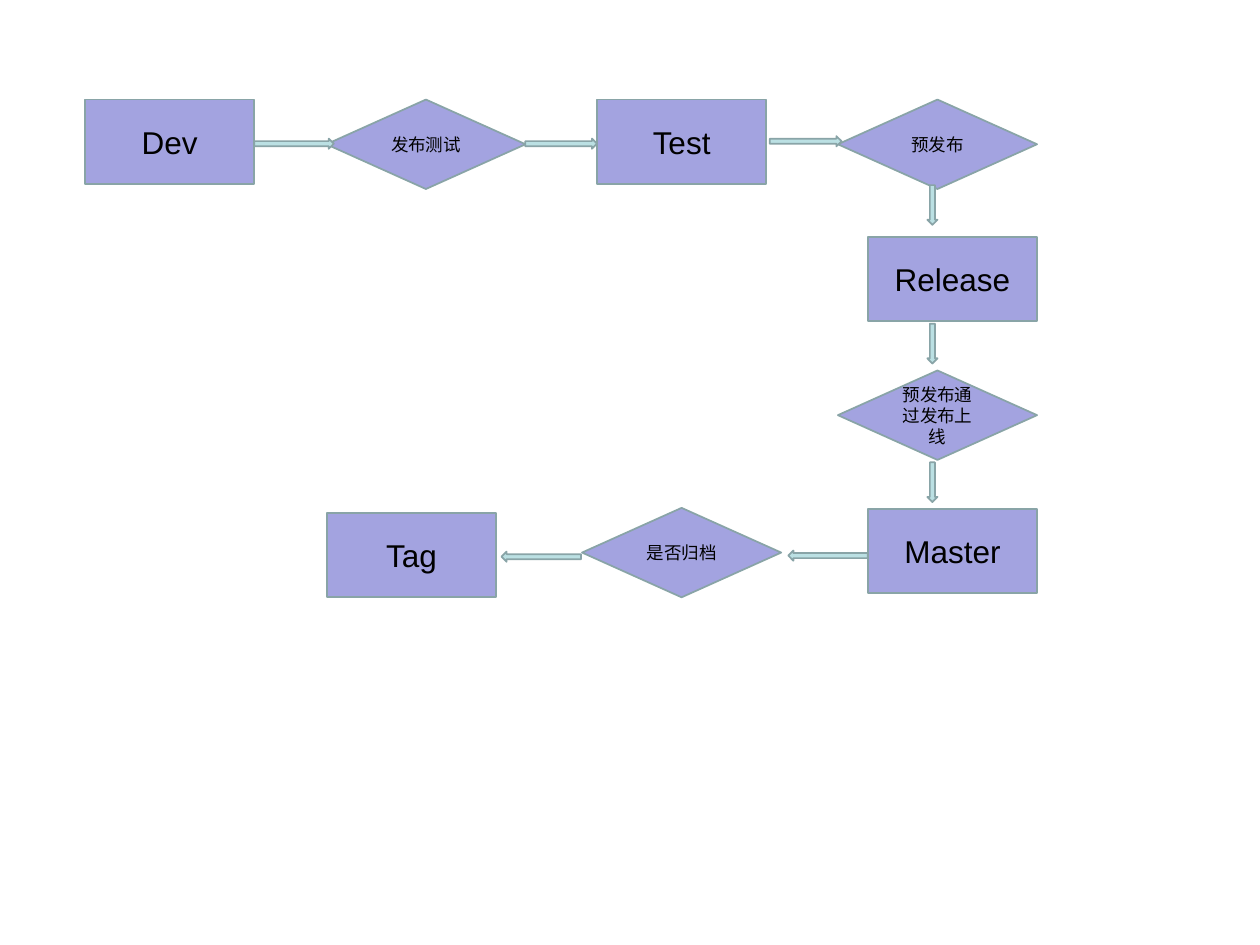
from pptx import Presentation
from pptx.dml.color import RGBColor
from pptx.enum import shapes, text
from pptx.util import Pt

LAVENDER = RGBColor(0xA3, 0xA3, 0xE0)
PALE_TEAL = RGBColor(0xBB, 0xE0, 0xE3)
OUTLINE = RGBColor(0x89, 0xA4, 0xA7)
BLACK = RGBColor(0, 0, 0)

KIND = shapes.MSO_SHAPE


class Flowchart:
    branch_size = (96.5, 48.2)
    step_size = (113.8, 51.1)
    arrow_thickness = 5.8
    frame_format = {
        "word_wrap": True,
        "vertical_anchor": text.MSO_ANCHOR.MIDDLE,
        "margin_left": Pt(7.2),
        "margin_right": Pt(7.2),
        "margin_top": Pt(3.6),
        "margin_bottom": Pt(3.6),
    }

    def __init__(self, slide):
        self.slide = slide

    def outlined(self, kind, left, top, size, fill):
        width, height = size
        shape = self.slide.shapes.add_shape(
            kind, Pt(left), Pt(top), Pt(width), Pt(height))
        shape.shadow.inherit = False
        shape.fill.solid()
        shape.fill.fore_color.rgb = fill
        shape.line.color.rgb = OUTLINE
        shape.line.width = Pt(1)
        return shape

    def labelled(self, kind, label, left, top, size, font_size):
        frame = self.outlined(kind, left, top, size, LAVENDER).text_frame
        for name, value in self.frame_format.items():
            setattr(frame, name, value)
        paragraph = frame.paragraphs[0]
        paragraph.alignment = text.PP_ALIGN.CENTER
        run = paragraph.add_run()
        run.text = label
        for name, value in {"name": "Arial", "size": Pt(font_size)}.items():
            setattr(run.font, name, value)
        run.font.color.rgb = BLACK

    def branch(self, label, left, top):
        self.labelled(KIND.RECTANGLE, label, left, top, self.branch_size, 18)

    def step(self, label, left, top):
        self.labelled(KIND.DIAMOND, label, left, top, self.step_size, 10)

    def arrow(self, kind, left, top, length):
        size = (length, self.arrow_thickness)
        if kind == KIND.DOWN_ARROW:
            size = size[::-1]
        self.outlined(kind, left, top, size, PALE_TEAL)


def main():
    deck = Presentation()
    deck.slide_width, deck.slide_height = Pt(720), Pt(540)
    chart = Flowchart(deck.slides.add_slide(deck.slide_layouts[6]))

    top_row = 56.9
    branch_column, step_column, down_column = 496.1, 478.8, 529.9

    chart.branch("Dev", 48.7, top_row)
    chart.step("发布测试", 186.5, top_row)
    chart.branch("Test", 341.3, top_row)
    chart.step("预发布", step_column, top_row)
    chart.branch("Release", branch_column, 135.4)
    chart.step("预发布通过发布上线", step_column, 211.7)
    chart.branch("Master", branch_column, 290.9)
    chart.step("是否归档", 332.6, 290.2)
    chart.branch("Tag", 187, 293)

    for left, top, length in ((145.4, 79.2, 45.4), (300.2, 79.2, 41), (439.9, 77.8, 41)):
        chart.arrow(KIND.RIGHT_ARROW, left, top, length)
    for row in range(3):
        chart.arrow(KIND.DOWN_ARROW, down_column, 105.8 + 79.2 * row, 22.7)
    for left, top in ((450.5, 314.6), (286.6, 315.2)):
        chart.arrow(KIND.LEFT_ARROW, left, top, 45.4)

    deck.save("out.pptx")


if __name__ == "__main__":
    main()
